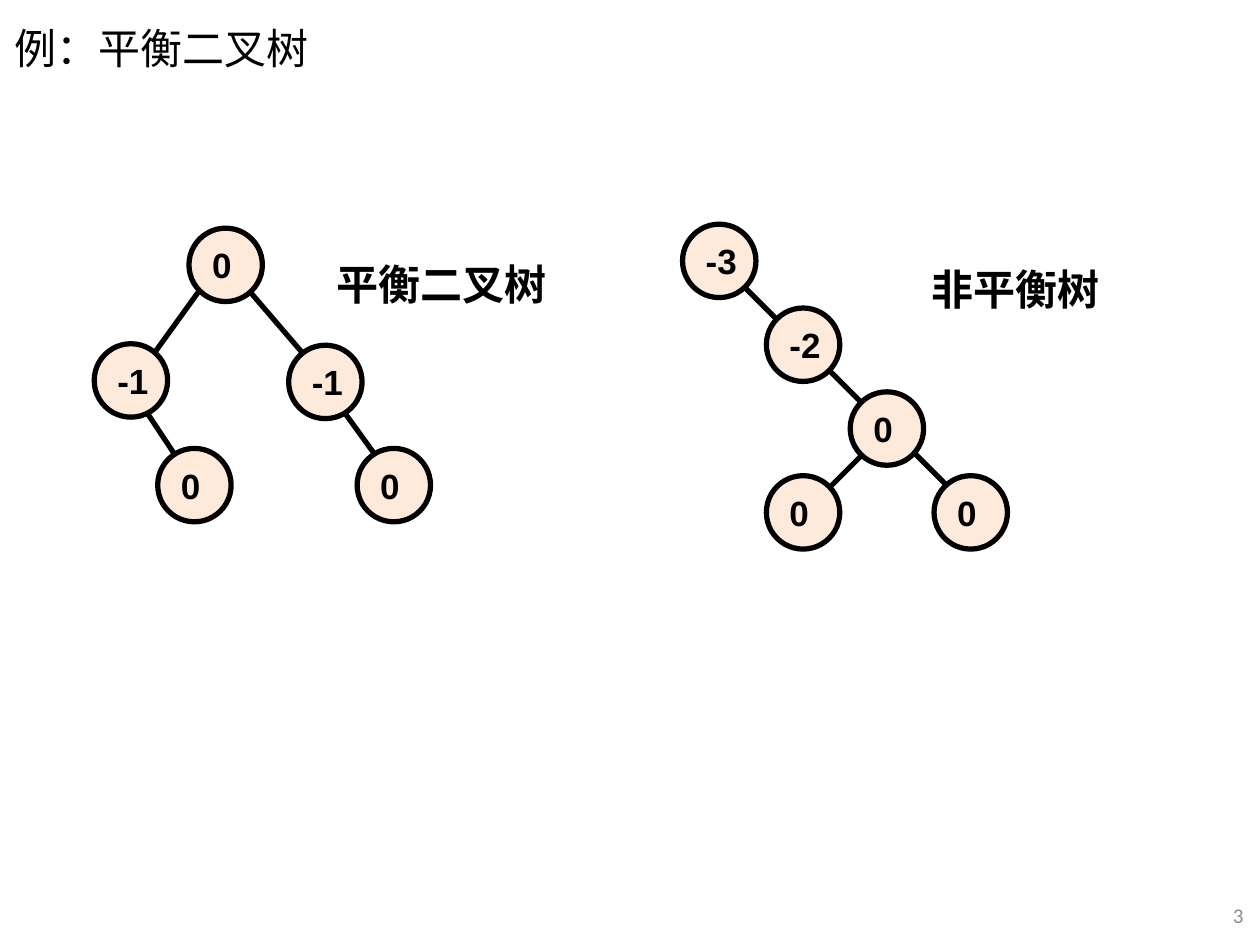
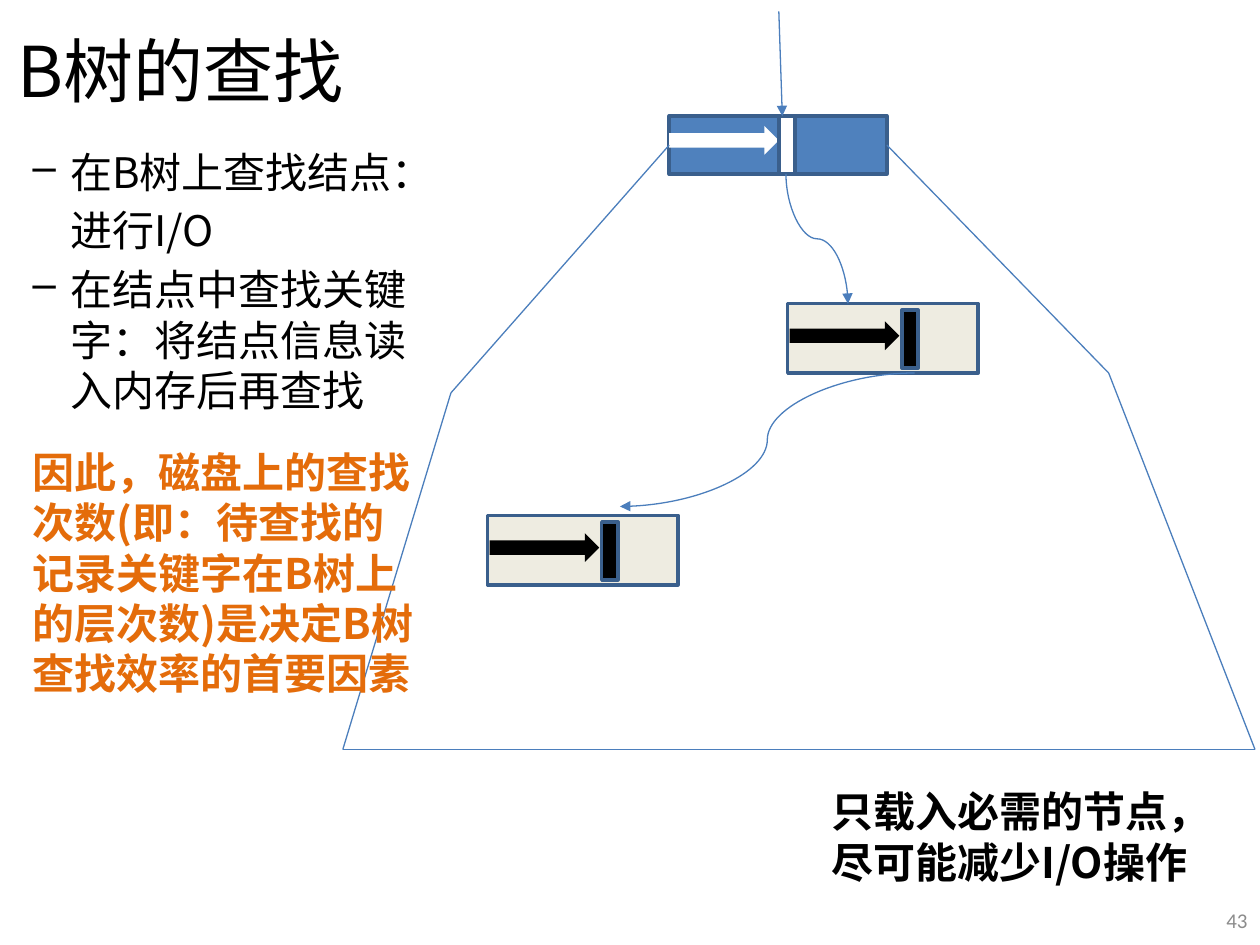
import pptx
import pptx.util
import pptx.dml.color
import pptx.enum.shapes
import pptx.enum.text
import pptx.oxml.ns
import lxml.etree

Cm = pptx.util.Cm
Pt = pptx.util.Pt
SHAPE = pptx.enum.shapes.MSO_SHAPE
CXN = pptx.enum.shapes.MSO_CONNECTOR
ALIGN = pptx.enum.text.PP_ALIGN
ANCHOR = pptx.enum.text.MSO_ANCHOR
FIT = pptx.enum.text.MSO_AUTO_SIZE
qn = pptx.oxml.ns.qn
rgb = pptx.dml.color.RGBColor.from_string

BLACK, WHITE, GREY = "000000", "FFFFFF", "8C8C8C"
PEACH, BLUE, BEIGE, ORANGE = "FDEADA", "4F81BD", "EEECE1", "E46C0A"
OUTLINE, EDGE = "3A5F8C", "4B7EBC"
SANS = "Noto Sans CJK SC"


def write(tf, text, size=24, font=SANS, color=BLACK, bold=False, align=None,
          before=0, indent=0, bullet=None):
    p = tf.paragraphs[0] if not tf.text else tf.add_paragraph()
    pPr = p._p.get_or_add_pPr()
    if indent:
        pPr.set("marL", str(Cm(indent)))
        pPr.set("indent", str(-Cm(indent) if bullet else 0))
    if bullet:
        lxml.etree.SubElement(pPr, qn("a:buChar")).set("char", bullet)
    p.alignment = align
    p.space_before = Pt(before)
    r = p.add_run()
    r.text = text
    r.font.size = Pt(size)
    r.font.bold = bold
    r.font.color.rgb = rgb(color)
    r.font.name = font
    lxml.etree.SubElement(r._r.get_or_add_rPr(), qn("a:ea")).set("typeface", font)


def link(shapes, start, end, color=EDGE, width=0.75, kind=CXN.STRAIGHT, arrow=False):
    c = shapes.add_connector(kind, *(Cm(v) for v in start + end))
    c.line.color.rgb = rgb(color)
    c.line.width = Pt(width)
    if arrow:
        lxml.etree.SubElement(c.line._get_or_add_ln(), qn("a:tailEnd")).set("type", "triangle")
    lxml.etree.SubElement(c._element.spPr, qn("a:effectLst"))
    return c


prs = pptx.Presentation()
prs.slide_width, prs.slide_height = Cm(25.4), Cm(19.05)
balance, search = [prs.slides.add_slide(prs.slide_layouts[6]) for _ in range(2)]

step = 1.69
trees = [
    ([((2.74, 7.98), (3.58, 9.25)), ((6.55, 7.77), (7.62, 9.25)),
      ((4.85, 5.66), (6.12, 7.14)), ((4.01, 5.87), (2.95, 7.34))],
     [(1.9, 6.93, "-1"), (3.18, 9.04, "0"), (3.81, 4.6, "0"),
      (5.82, 6.96, "-1"), (7.2, 9.04, "0")]),
    ([((18.29, 8.99), (19.56, 10.26)), ((16.31, 7.06), (17.58, 8.33)),
      ((14.4, 5.18), (15.67, 6.45)), ((17.58, 8.97), (16.31, 10.24))],
     [(13.76 + col * step, 4.52 + row * step, key) for col, row, key in
      [(0, 0, "-3"), (1, 1, "-2"), (2, 2, "0"), (1, 3, "0"), (3, 3, "0")]]),
]
for edges, nodes in trees:
    g = balance.shapes.add_group_shape()
    for start, end in edges:
        link(g.shapes, start, end, BLACK, 3)
    for x, y, factor in nodes:
        sp = g.shapes.add_shape(SHAPE.OVAL, Cm(x), Cm(y), Cm(1.48), Cm(1.48))
        sp.shadow.inherit = False
        sp.fill.solid()
        sp.fill.fore_color.rgb = rgb(PEACH)
        sp.line.color.rgb = rgb(BLACK)
        sp.line.width = Pt(3)
        sp.text_frame.word_wrap = False
        sp.text_frame.vertical_anchor = ANCHOR.MIDDLE
        write(sp.text_frame, factor, size=20, font="Arial", bold=True, align=ALIGN.LEFT)

blocks = []
for x, y, w, h, fill, mark, arrow_at, slot_at in [
    (13.49, 2.34, 4.39, 1.17, BLUE, WHITE, (0, 0.2), (2.21, 0)),
    (15.88, 6.12, 3.84, 1.4, BEIGE, BLACK, (0.04, 0.36), (2.3, 0.13)),
    (9.83, 10.39, 3.84, 1.4, BEIGE, BLACK, (0.04, 0.36), (2.3, 0.13)),
]:
    for kind, (dx, dy), pw, ph, color in [
        (SHAPE.RECTANGLE, (0, 0), w, h, fill),
        (SHAPE.RIGHT_ARROW, arrow_at, 2.21, 0.58, mark),
        (SHAPE.RECTANGLE, slot_at, 0.33, 1.17, mark),
    ]:
        sp = search.shapes.add_shape(kind, Cm(x + dx), Cm(y + dy), Cm(pw), Cm(ph))
        sp.shadow.inherit = False
        sp.fill.solid()
        sp.fill.fore_color.rgb = rgb(color)
        if kind == SHAPE.RIGHT_ARROW:
            sp.line.fill.background()
        else:
            sp.line.color.rgb = rgb(OUTLINE)
            sp.line.width = Pt(2)
        blocks.append(sp)

root = blocks[0]
outline = [(13.49, 2.92), (9.09, 7.92), (6.91, 15.11), (25.3, 15.11), (22.35, 7.52), (17.88, 2.92)]
sides = [link(search.shapes, a, b) for a, b in zip(outline, outline[1:])]
sides[0].begin_connect(root, 1)
sides[-1].end_connect(root, 3)
link(search.shapes, (15.7, 0.23), (15.77, 2.34), arrow=True)
down = link(search.shapes, (17.78, 4.19), (15.16, 5.44), kind=CXN.CURVE, arrow=True)
down._element.spPr.find(qn("a:xfrm")).set("rot", str(270 * 60000))
link(search.shapes, (18.44, 7.52), (12.5, 10.21), kind=CXN.CURVE, arrow=True)

number = dict(size=12, font="Calibri", color=GREY, align=ALIGN.RIGHT)
item = dict(indent=0.76, before=4.8)
for s, x, y, w, h, wrap, anchor, paragraphs in [
    (balance, 6.53, 5.08, 4.78, 1.27, False, ANCHOR.TOP, [("平衡二叉树", dict(bold=True))]),
    (balance, 18.52, 5.18, 3.94, 1.27, False, ANCHOR.TOP, [("非平衡树", dict(bold=True))]),
    (balance, 0.05, 0.33, 7.44, 1.27, True, ANCHOR.TOP, [("例：平衡二叉树", {})]),
    (balance, 24.23, 17.93, 1.09, 1.02, True, ANCHOR.MIDDLE, [("3", number)]),
    (search, 0.1, 0.28, 7.49, 2.24, True, ANCHOR.MIDDLE,
     [("B树的查找", dict(size=40, font="Noto Sans CJK JP"))]),
    (search, 16.51, 15.72, 8.38, 2.31, True, ANCHOR.TOP,
     [("只载入必需的节点，尽可能减少I/O操作", dict(bold=True))]),
    (search, 0.41, 2.82, 8.43, 12.52, True, ANCHOR.TOP, [
        ("在B树上查找结点：", dict(indent=0.76, bullet="–")),
        ("进行I/O", item),
        ("在结点中查找关键字：将结点信息读入内存后再查找", dict(item, bullet="–")),
        ("因此，磁盘上的查找次数(即：待查找的记录关键字在B树上的层次数)是决定B树查找效率的首要因素",
         dict(color=ORANGE, bold=True, before=18)),
    ]),
    (search, 24.31, 18.03, 1.09, 1.02, True, ANCHOR.MIDDLE, [("43", number)]),
]:
    tf = s.shapes.add_textbox(Cm(x), Cm(y), Cm(w), Cm(h)).text_frame
    tf.word_wrap = wrap
    tf.auto_size = FIT.NONE
    tf.vertical_anchor = anchor
    for text, fmt in paragraphs:
        write(tf, text, **fmt)

prs.save("out.pptx")
